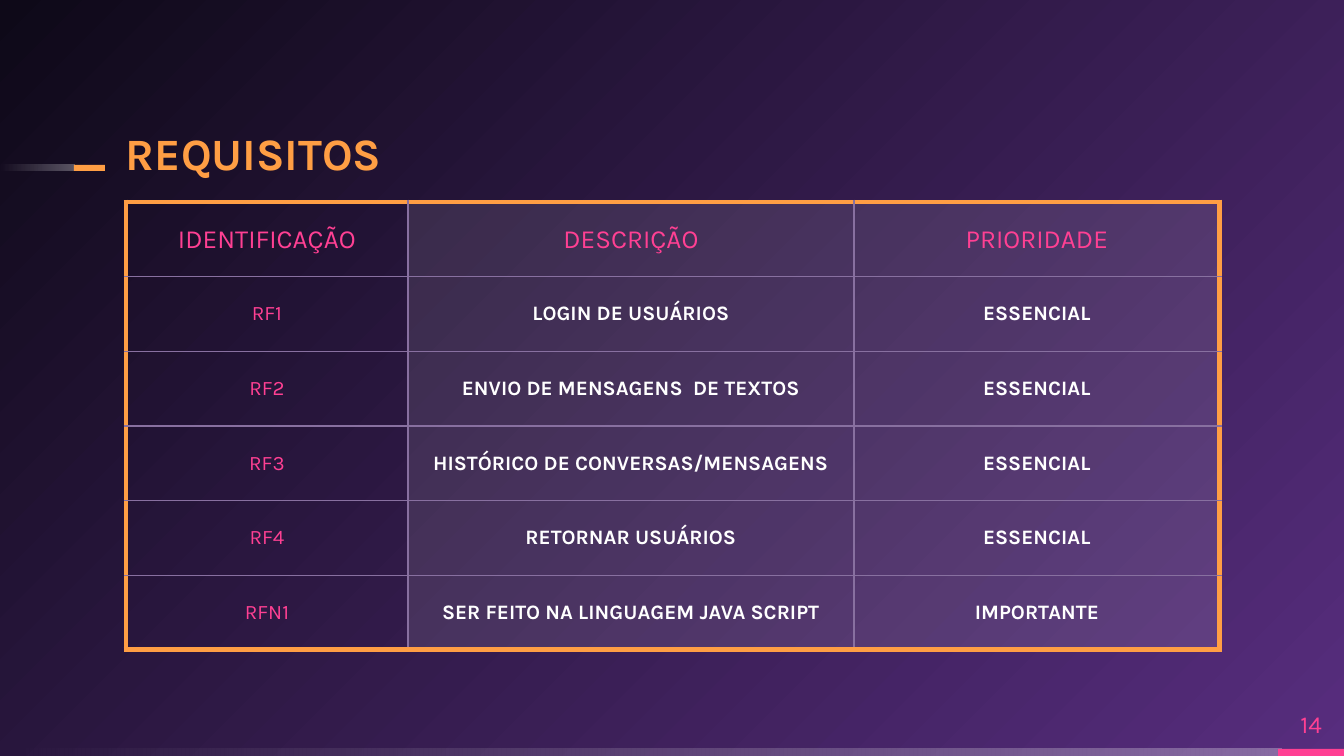
from lxml import etree
from pptx import Presentation
from pptx.dml.color import RGBColor
from pptx.enum.shapes import MSO_SHAPE
from pptx.enum.text import MSO_ANCHOR, PP_ALIGN
from pptx.oxml.ns import qn
from pptx.util import Pt

RECTANGLE = MSO_SHAPE.RECTANGLE
MIDDLE, BOTTOM = MSO_ANCHOR.MIDDLE, MSO_ANCHOR.BOTTOM
LEFT, CENTER = PP_ALIGN.LEFT, PP_ALIGN.CENTER

EMU_PER_PX = 914400 / 134.4
FONT = "Karla"
ORANGE, PINK, WHITE, LILAC = "FF9E44", "FF4093", "FFFFFF", "8870A0"
FADE = [(0, WHITE, 30), (100, WHITE, 0)]

COLUMN_WIDTHS = [282, 446, 366]
TABLE_HEIGHT = 448
ROWS = [
    ("IDENTIFICAÇÃO", "DESCRIÇÃO", "PRIORIDADE"),
    ("RF1", "LOGIN DE USUÁRIOS", "ESSENCIAL"),
    ("RF2", "ENVIO DE MENSAGENS  DE TEXTOS", "ESSENCIAL"),
    ("RF3", "HISTÓRICO DE CONVERSAS/MENSAGENS", "ESSENCIAL"),
    ("RF4", "RETORNAR USUÁRIOS", "ESSENCIAL"),
    ("RFN1", "SER FEITO NA LINGUAGEM JAVA SCRIPT", "IMPORTANTE"),
]


def px(length):
    return round(length * EMU_PER_PX)


def color(value):
    return RGBColor.from_string(value)


def child(parent, tag, **attributes):
    return etree.SubElement(parent, qn(tag), attributes)


def set_opacity(owner, percent):
    child(next(owner.iter(qn("a:srgbClr"))), "a:alpha", val=str(percent * 1000))


def set_gradient(fill, owner, stops, angle=None):
    fill.gradient()
    gradient = next(owner.iter(qn("a:gradFill")))
    for part in list(gradient):
        gradient.remove(part)
    stop_list = child(gradient, "a:gsLst")
    for position, value, opacity in stops:
        stop = child(stop_list, "a:gs", pos=str(position * 1000))
        child(stop, "a:srgbClr", val=value)
        if opacity < 100:
            set_opacity(stop, opacity)
    if angle is None:
        circle = child(gradient, "a:path", path="circle")
        child(circle, "a:fillToRect", l="100000", t="100000")
    else:
        child(gradient, "a:lin", ang=str(angle * 60000), scaled="0")


def add_bar(page, left, top, width, height, fill=None):
    bar = page.shapes.add_shape(RECTANGLE, px(left), px(top), px(width), px(height))
    bar.shadow.inherit = False
    bar.line.fill.background()
    if fill:
        bar.fill.solid()
        bar.fill.fore_color.rgb = color(fill)
    else:
        set_gradient(bar.fill, bar.element.spPr, FADE, angle=180)


def write(frame, text, size, fill, bold=False, align=LEFT, spacing=None):
    para = frame.paragraphs[0]
    para.alignment = align
    para.line_spacing = spacing
    span = para.add_run()
    span.text = text
    span.font.name = FONT
    span.font.size = Pt(size)
    span.font.bold = bold
    span.font.color.rgb = color(fill)


def add_text(page, text, left, top, width, height, anchor=MIDDLE, **style):
    box = page.shapes.add_textbox(px(left), px(top), px(width), px(height))
    frame = box.text_frame
    frame.word_wrap = True
    frame.vertical_anchor = anchor
    frame.margin_left = frame.margin_right = 0
    frame.margin_top = frame.margin_bottom = 0
    write(frame, text, **style)


def set_borders(cell, outer_sides):
    properties = cell._tc.get_or_add_tcPr()
    for index, side in enumerate("LRTB"):
        outer = side in outer_sides
        border = child(properties, f"a:ln{side}", w=str(Pt(3 if outer else 0.75)))
        child(child(border, "a:solidFill"), "a:srgbClr", val=ORANGE if outer else LILAC)
        properties.insert(index, border)


def format_cell(cell, text, row, column):
    cell.vertical_anchor = MIDDLE
    cell.margin_left = cell.margin_right = px(13)
    cell.margin_top = cell.margin_bottom = px(9)
    if column:
        cell.fill.solid()
        cell.fill.fore_color.rgb = color(WHITE)
        set_opacity(cell._tc.tcPr, 10)
    else:
        cell.fill.background()
    edges = {
        "L": column == 0,
        "R": column == len(COLUMN_WIDTHS) - 1,
        "T": row == 0,
        "B": row == len(ROWS) - 1,
    }
    set_borders(cell, [side for side, outer in edges.items() if outer])
    body = row > 0 and column > 0
    write(cell.text_frame, text, size=11 if row else 14,
          fill=WHITE if body else PINK, bold=body, align=CENTER)


def add_requirements(page, left, top):
    table = page.shapes.add_table(
        len(ROWS), len(COLUMN_WIDTHS), px(left), px(top),
        px(sum(COLUMN_WIDTHS)), px(TABLE_HEIGHT)).table
    table.first_row = False
    table.horz_banding = False
    for column, width in zip(table.columns, COLUMN_WIDTHS):
        column.width = px(width)
    for row, texts in enumerate(ROWS):
        table.rows[row].height = px(TABLE_HEIGHT / len(ROWS))
        for column, text in enumerate(texts):
            format_cell(table.cell(row, column), text, row, column)


def main():
    deck = Presentation()
    deck.slide_width, deck.slide_height = px(1344), px(756)
    page = deck.slides.add_slide(deck.slide_layouts[6])
    set_gradient(page.background.fill, page.element,
                 [(0, "572D7E", 100), (100, "0E0918", 100)])
    add_bar(page, 0, 749, 1282, 7)
    add_bar(page, 1278, 749, 66, 7, fill=PINK)
    add_bar(page, 0, 165, 75, 6)
    add_bar(page, 74, 165, 31, 6, fill=ORANGE)
    add_text(page, "REQUISITOS", 126, 122, 780, 58, anchor=BOTTOM,
             size=24, fill=ORANGE, bold=True, spacing=0.9)
    add_text(page, "14", 1278, 698, 66, 51, size=13, fill=PINK, align=CENTER)
    add_requirements(page, 126, 202)
    deck.save("out.pptx")


if __name__ == "__main__":
    main()
